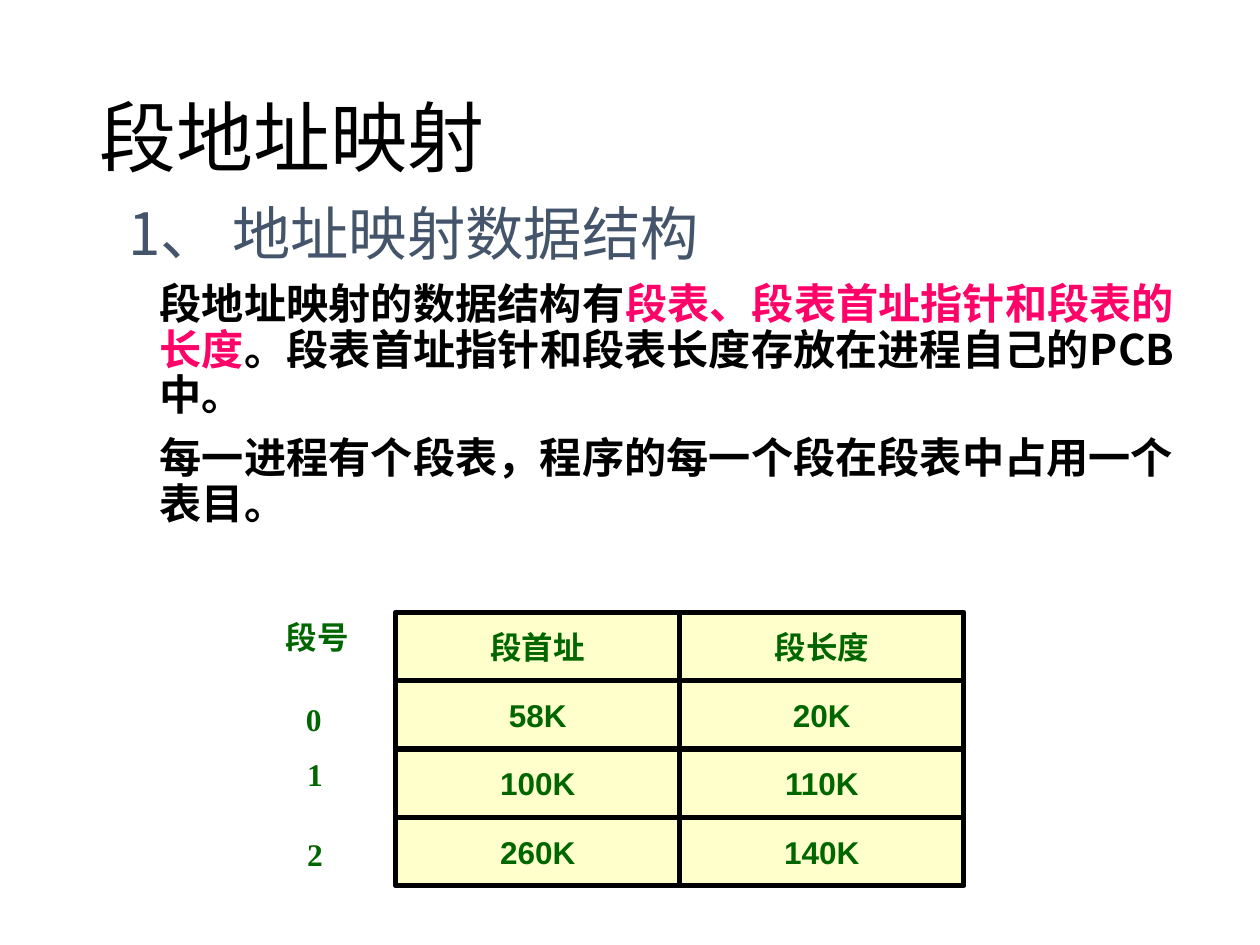
from lxml import etree
from pptx import Presentation
from pptx import util as u
from pptx.dml.color import RGBColor
from pptx.enum import shapes, text
from pptx.oxml.ns import qn

CJK = "Noto Sans CJK SC"
BLACK, GREEN, PINK, SLATE, CREAM = "000000", "006600", "FF0369", "44546A", "FFFFCC"


def color(value):
    return RGBColor.from_string(value)


def write(para, words, size, fill=BLACK, font=CJK, bold=False):
    span = para.add_run()
    span.text = words
    span.font.size = u.Pt(size)
    span.font.bold = bold
    span.font.name = font
    span.font.color.rgb = color(fill)
    latin = span.font._element.find(qn("a:latin"))
    east = etree.Element(qn("a:ea"), typeface=CJK)
    latin.addnext(east)


def add_frame(page, left, top, width, height, wrap=True):
    box = page.shapes.add_textbox(*map(u.Inches, (left, top, width, height)))
    box.text_frame.word_wrap = wrap
    return box.text_frame


def add_title(page, left, top, width, height):
    frame = add_frame(page, left, top, width, height)
    frame.vertical_anchor = text.MSO_ANCHOR.MIDDLE
    para = frame.paragraphs[0]
    para.line_spacing = 0.9
    write(para, "段地址映射", 44)


def add_body(page, left, top, width, height):
    frame = add_frame(page, left, top, width, height)
    heading = frame.paragraphs[0]
    heading.alignment = text.PP_ALIGN.JUSTIFY
    heading.line_spacing = 0.7
    write(heading, "1、 地址映射数据结构", 33.3, fill=SLATE)
    passages = [
        [
            ("段地址映射的数据结构有", BLACK),
            ("段表、段表首址指针和段表的长度", PINK),
            ("。段表首址指针和段表长度存放在进程自己的PCB中。", BLACK),
        ],
        [("每一进程有个段表，程序的每一个段在段表中占用一个表目。", BLACK)],
    ]
    for passage in passages:
        para = frame.add_paragraph()
        para.alignment = text.PP_ALIGN.JUSTIFY
        para.line_spacing = 0.9
        para.space_before = u.Pt(10)
        para._p.get_or_add_pPr().set("marL", str(u.Inches(0.25)))
        for words, fill in passage:
            write(para, words, 24.1, fill=fill, bold=True)


def add_labels(page, left, top):
    labels = [
        ("段号", 0, 0, 0.87),
        ("0", 0.16, 0.65, 0.37),
        ("1", 0.17, 1.08, 0.37),
        ("2", 0.17, 1.72, 0.37),
    ]
    for words, across, down, width in labels:
        frame = add_frame(page, left + across, top + down, width, 0.5, wrap=False)
        write(frame.paragraphs[0], words, 18, fill=GREEN, font="Times New Roman", bold=True)


def add_cell(page, words, left, top, width, height):
    cell = page.shapes.add_shape(
        shapes.MSO_SHAPE.RECTANGLE, *map(u.Inches, (left, top, width, height))
    )
    cell.shadow.inherit = False
    cell.fill.solid()
    cell.fill.fore_color.rgb = color(CREAM)
    cell.line.color.rgb = color(BLACK)
    cell.line.width = u.Pt(3)
    frame = cell.text_frame
    frame.word_wrap = False
    frame.vertical_anchor = text.MSO_ANCHOR.MIDDLE
    para = frame.paragraphs[0]
    para.alignment = text.PP_ALIGN.CENTER
    write(para, words, 18, fill=GREEN, font="Arial", bold=True)


def add_segment_grid(page, left, top, width, height):
    rows = [("段首址", "段长度"), ("58K", "20K"), ("100K", "110K"), ("260K", "140K")]
    cell_width, cell_height = width / len(rows[0]), height / len(rows)
    for row, values in enumerate(rows):
        for column, value in enumerate(values):
            add_cell(
                page,
                value,
                left + column * cell_width,
                top + row * cell_height,
                cell_width,
                cell_height,
            )


def main():
    deck = Presentation()
    deck.slide_width, deck.slide_height = u.Inches(10), u.Inches(7.5)
    page = deck.slides.add_slide(deck.slide_layouts[6])
    add_title(page, 0.69, 0.4, 8.62, 1.45)
    add_body(page, 0.92, 1.67, 8.5, 2.75)
    add_labels(page, 2.17, 4.86)
    add_segment_grid(page, 3.14, 4.86, 4.51, 2.17)
    deck.save("out.pptx")


if __name__ == "__main__":
    main()
